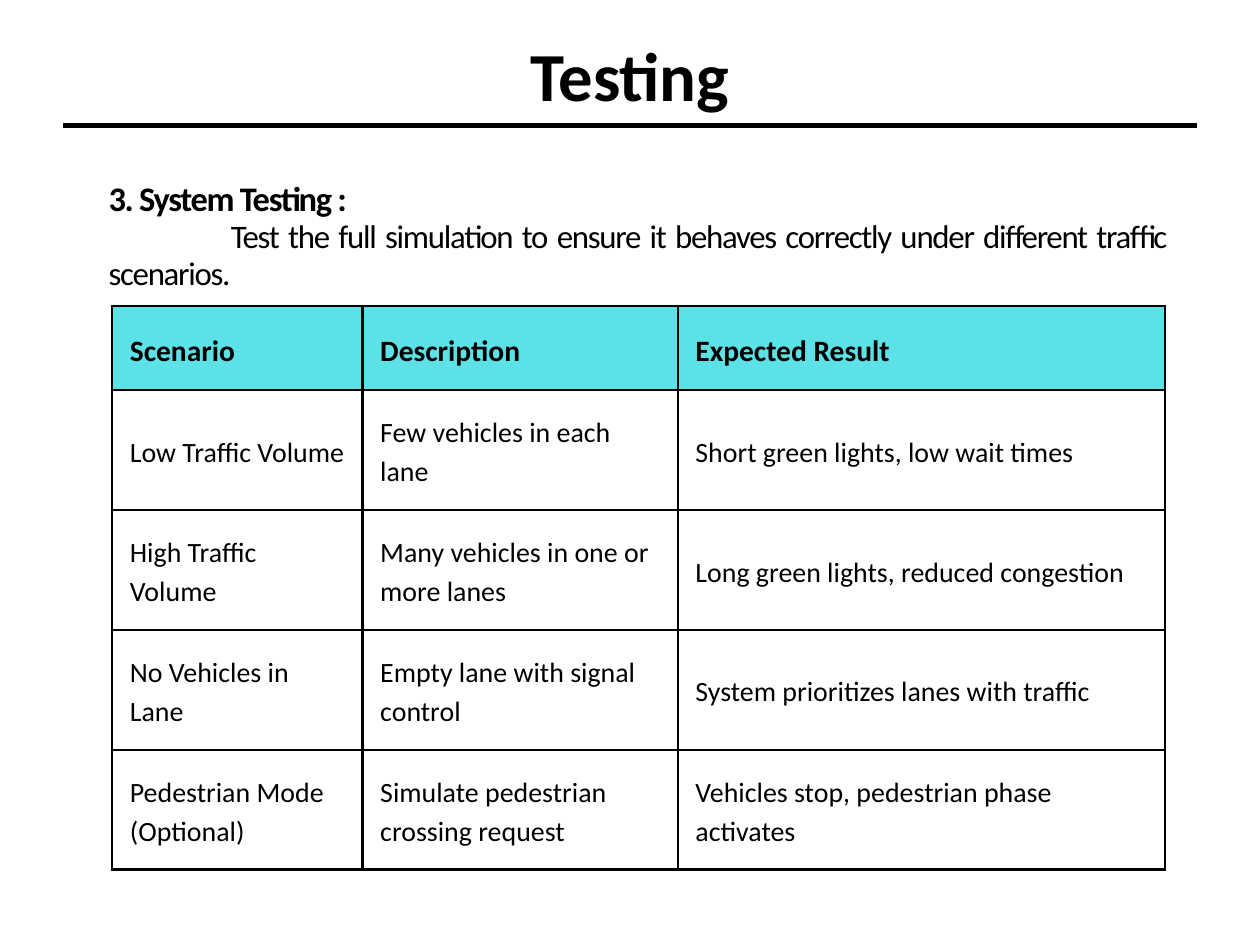
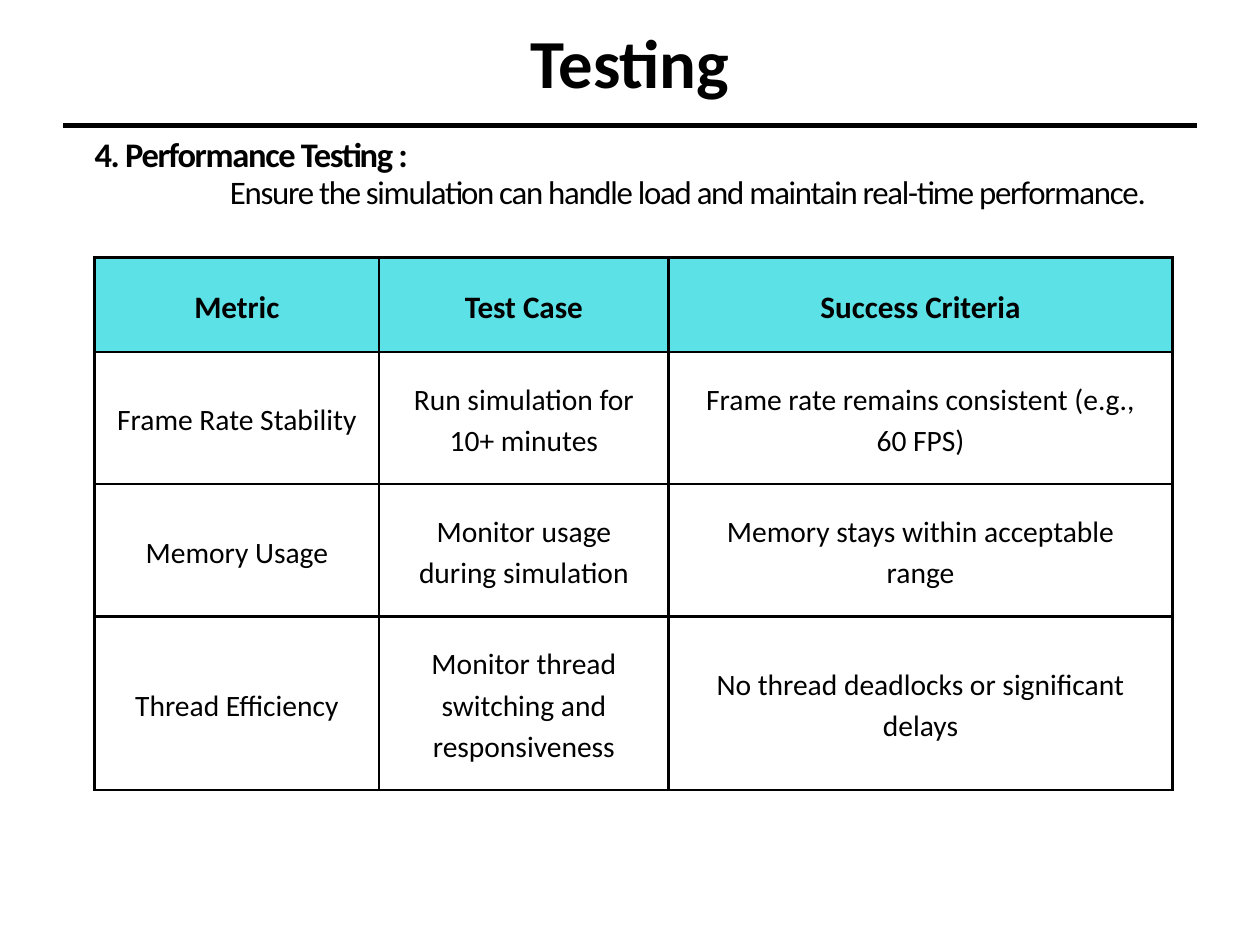
from lxml.etree import SubElement
from pptx import Presentation
from pptx.dml.color import RGBColor
from pptx.enum.shapes import MSO_CONNECTOR
from pptx.enum.text import MSO_ANCHOR, PP_ALIGN
from pptx.oxml.ns import qn
from pptx.util import Inches, Pt

BLACK = RGBColor(0, 0, 0)
WHITE = RGBColor(255, 255, 255)
AQUA = RGBColor(0x5C, 0xE1, 0xE6)
FONT = "Calibri"
WIDE, HIGH = Inches(10.67), Inches(8)


# Grid of 100 columns by 100 rows
def col(n):
    return round(WIDE * n / 100)


def row(n):
    return round(HIGH * n / 100)


def write(para, text, size, bold=False, align=PP_ALIGN.LEFT, lead=1.4,
          track=0, indent=0):
    """Fill one paragraph; lead is the line pitch as a share of the size."""
    para.alignment = align
    para.line_spacing = Pt(round(size * lead, 1))
    if indent:
        para._p.get_or_add_pPr().set("indent", str(col(indent)))
    run = para.add_run()
    run.text = text
    font = run.font
    font.name, font.size, font.bold = FONT, Pt(size), bold
    font.color.rgb = BLACK
    if track:
        run._r.get_or_add_rPr().set("spc", str(round(track * 100)))


def add_box(slide, x, y, w, h, anchor=MSO_ANCHOR.TOP):
    frame = slide.shapes.add_textbox(col(x), row(y), col(w), row(h)).text_frame
    frame.word_wrap = True
    frame.vertical_anchor = anchor
    frame.margin_left = frame.margin_right = 0
    frame.margin_top = frame.margin_bottom = 0
    return frame


def add_title(slide, top):
    frame = add_box(slide, 5, top, 90, 17.5, MSO_ANCHOR.MIDDLE)
    write(frame.paragraphs[0], "Testing", 41.9, bold=True,
          align=PP_ALIGN.CENTER, lead=1.2)


def add_rule(slide):
    rule = slide.shapes.add_connector(
        MSO_CONNECTOR.STRAIGHT, col(5), row(13.25), col(95), row(13.25))
    rule.line.color.rgb = BLACK
    rule.line.width = Pt(3)
    SubElement(rule._element.spPr, qn("a:effectLst"))


def add_intro(slide, place, head, text, indent):
    frame = add_box(slide, *place)
    style = dict(align=PP_ALIGN.JUSTIFY, lead=1.12, track=-0.8)
    write(frame.paragraphs[0], head, 21, bold=True, **style)
    write(frame.add_paragraph(), text, 20, indent=indent, **style)


def add_edges(cell):
    props = cell._tc.get_or_add_tcPr()
    for side in "LRTB":
        edge = SubElement(props, qn("a:ln" + side), w=str(Pt(1.5)))
        fill = SubElement(edge, qn("a:solidFill"))
        SubElement(fill, qn("a:srgbClr"), val=str(BLACK))


def add_grid(slide, x, y, cols, rows, data, size, pad, align):
    """Draw a table whose header is one point larger than its body."""
    table = slide.shapes.add_table(
        len(rows), len(cols), col(x), row(y),
        col(sum(cols)), row(sum(rows))).table
    table.first_row = table.horz_banding = False
    for part, width in zip(table.columns, cols):
        part.width = col(width)
    for part, height in zip(table.rows, rows):
        part.height = row(height)
    for r, line in enumerate(data):
        head = r == 0
        for c, text in enumerate(line):
            cell = table.cell(r, c)
            cell.margin_left = cell.margin_right = Inches(pad)
            cell.margin_top = cell.margin_bottom = Inches(pad)
            cell.vertical_anchor = MSO_ANCHOR.MIDDLE
            add_edges(cell)
            cell.fill.solid()
            cell.fill.fore_color.rgb = AQUA if head else WHITE
            write(cell.text_frame.paragraphs[0], text, size + head,
                  bold=head, align=align)


def add_page(deck, top):
    slide = deck.slides.add_slide(deck.slide_layouts[6])
    add_title(slide, top)
    add_rule(slide)
    return slide


SCENES = [
    ("Scenario", "Description", "Expected Result"),
    ("Low Traffic Volume", "Few vehicles in each lane",
     "Short green lights, low wait times"),
    ("High Traffic Volume", "Many vehicles in one or more lanes",
     "Long green lights, reduced congestion"),
    ("No Vehicles in Lane", "Empty lane with signal control",
     "System prioritizes lanes with traffic"),
    ("Pedestrian Mode (Optional)", "Simulate pedestrian crossing request",
     "Vehicles stop, pedestrian phase activates"),
]
METRICS = [
    ("Metric", "Test Case", "Success Criteria"),
    ("Frame Rate Stability", "Run simulation for 10+ minutes",
     "Frame rate remains consistent (e.g., 60 FPS)"),
    ("Memory Usage", "Monitor usage during simulation",
     "Memory stays within acceptable range"),
    ("Thread Efficiency", "Monitor thread switching and responsiveness",
     "No thread deadlocks or significant delays"),
]


def main():
    deck = Presentation()
    deck.slide_width, deck.slide_height = WIDE, HIGH

    # System testing
    slide = add_page(deck, -0.88)
    add_intro(slide, (8.62, 19, 83.88, 18.5), "3. System Testing :",
              "Test the full simulation to ensure it behaves correctly "
              "under different traffic scenarios.", indent=9.7)
    add_grid(slide, 8.9, 32.4, (19.87, 25.02, 38.7), [8.9] + [12.68] * 4,
             SCENES, size=17, pad=0.15, align=PP_ALIGN.LEFT)

    # Performance testing
    slide = add_page(deck, -2.25)
    add_intro(slide, (7.5, 14.38, 87.35, 18.75), "4. Performance Testing :",
              "Ensure the simulation can handle load and maintain "
              "real-time performance.", indent=10.75)
    add_grid(slide, 7.5, 27.25, (22.6, 22.96, 40), [10, 14, 14, 18.38],
             METRICS, size=18, pad=0.18, align=PP_ALIGN.CENTER)

    deck.save("out.pptx")


if __name__ == "__main__":
    main()
